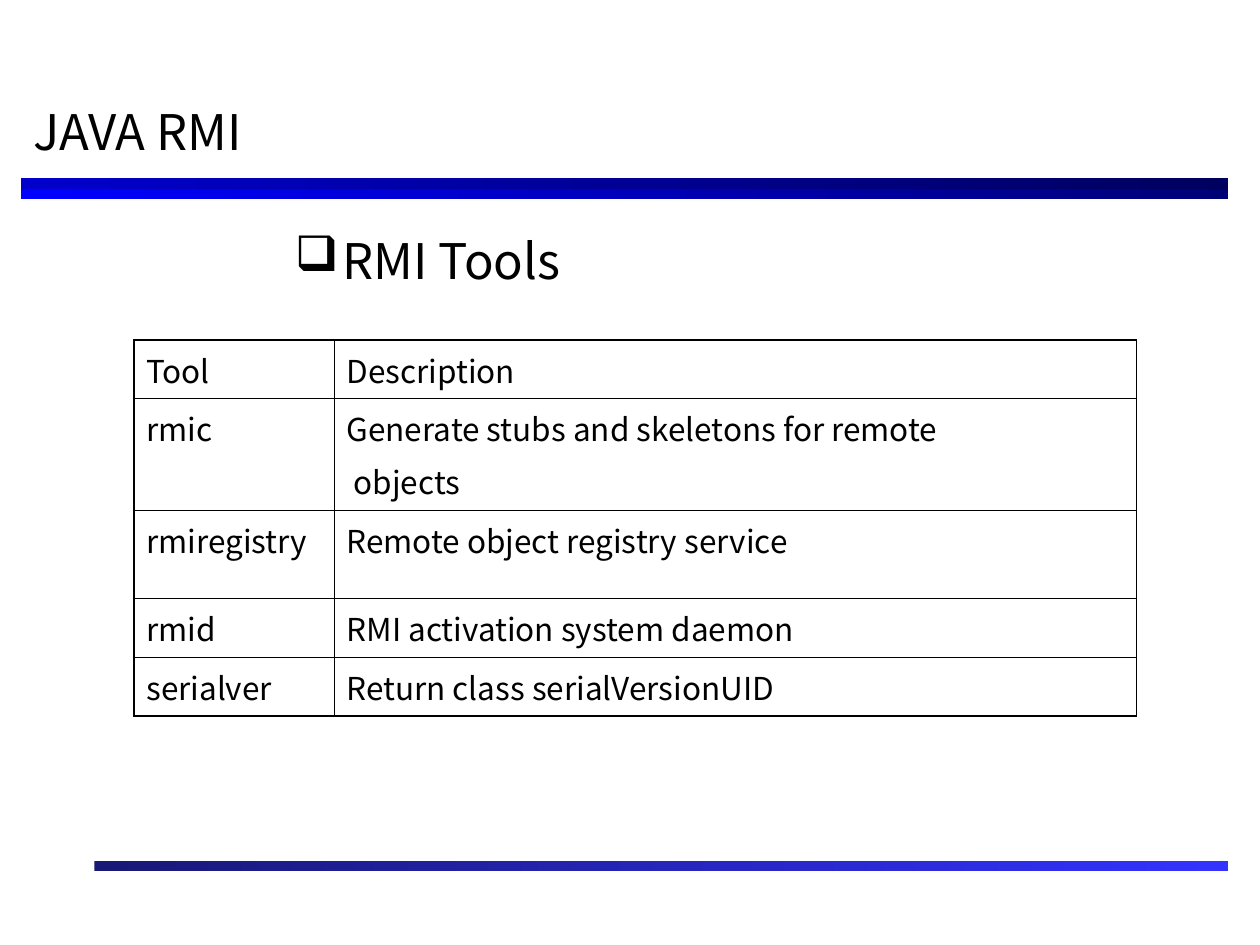
from dataclasses import dataclass

from lxml import etree
from pptx import Presentation
from pptx.dml.color import RGBColor
from pptx.enum.shapes import MSO_SHAPE
from pptx.enum.text import MSO_ANCHOR
from pptx.oxml.ns import qn
from pptx.util import Pt

RECTANGLE = MSO_SHAPE.RECTANGLE
TOP, MIDDLE = MSO_ANCHOR.TOP, MSO_ANCHOR.MIDDLE


@dataclass(frozen=True)
class Theme:
    font: str = "Noto Sans CJK KR"
    text: str = "000000"
    heading_size: float = 28
    table_size: float = 18
    outer_line: float = 1.08
    inner_line: float = 0.45
    title_bar: tuple = ("0000FF", "000076")
    title_bar_top: tuple = ("0000CC", "00005E")
    footer_bar: tuple = ("181876", "3333FF")


THEME = Theme()

COLUMN_WIDTHS = (114.5, 458.6)
ROW_HEIGHTS = (33.4, 64, 50.4, 33.4, 33.4)
TOOLS = (
    ("Tool", "Description"),
    ("rmic", "Generate stubs and skeletons for remote\n objects"),
    ("rmiregistry", "Remote object registry service"),
    ("rmid", "RMI activation system daemon"),
    ("serialver", "Return class serialVersionUID"),
)


def style_paragraph(para, size, space_before=0):
    para.font.name = THEME.font
    para.font.size = Pt(size)
    para.font.color.rgb = RGBColor.from_string(THEME.text)
    para.space_before = Pt(space_before)


def add_bar(page, left, top, width, height, colors):
    bar = page.shapes.add_shape(RECTANGLE, Pt(left), Pt(top), Pt(width), Pt(height))
    bar.shadow.inherit = False
    bar.line.fill.background()
    bar.fill.gradient()
    bar.fill.gradient_angle = 0
    for stop, color in zip(bar.fill.gradient_stops, colors):
        stop.color.rgb = RGBColor.from_string(color)


def add_heading(page, left, top, width, height, text, anchor, space_before=0):
    box = page.shapes.add_textbox(Pt(left), Pt(top), Pt(width), Pt(height))
    frame = box.text_frame
    frame.word_wrap = True
    frame.vertical_anchor = anchor
    para = frame.paragraphs[0]
    para.text = text
    style_paragraph(para, THEME.heading_size, space_before)
    return para


def add_bullet(para, symbol, indent):
    properties = para._p.get_or_add_pPr()
    properties.set("marL", str(Pt(indent)))
    properties.set("indent", str(-Pt(indent)))
    etree.SubElement(properties, qn("a:buChar"), char=symbol)


def add_border(cell, side, width):
    line = etree.SubElement(cell._tc.get_or_add_tcPr(), qn("a:" + side), w=str(Pt(width)))
    fill = etree.SubElement(line, qn("a:solidFill"))
    etree.SubElement(fill, qn("a:srgbClr"), val=THEME.text)


def add_tool_table(page, left, top):
    rows, columns = len(TOOLS), len(COLUMN_WIDTHS)
    table = page.shapes.add_table(
        rows, columns, Pt(left), Pt(top), Pt(sum(COLUMN_WIDTHS)), Pt(sum(ROW_HEIGHTS))
    ).table
    table.first_row = table.horz_banding = False
    for column, width in zip(table.columns, COLUMN_WIDTHS):
        column.width = Pt(width)
    for r, (height, texts) in enumerate(zip(ROW_HEIGHTS, TOOLS)):
        table.rows[r].height = Pt(height)
        for c, text in enumerate(texts):
            cell = table.cell(r, c)
            cell.text = text
            for para in cell.text_frame.paragraphs:
                style_paragraph(para, THEME.table_size, space_before=4.5)
            # The outer frame is heavier than the inner grid
            on_edge = {
                "lnL": c == 0,
                "lnR": c == columns - 1,
                "lnT": r == 0,
                "lnB": r == rows - 1,
            }
            for side, outer in on_edge.items():
                add_border(cell, side, THEME.outer_line if outer else THEME.inner_line)
            cell.fill.background()


def main():
    deck = Presentation()
    deck.slide_width, deck.slide_height = Pt(720), Pt(540)
    page = deck.slides.add_slide(deck.slide_layouts[6])

    # Gradient bars
    add_bar(page, 12, 102, 690, 12, THEME.title_bar)
    add_bar(page, 54, 492, 648, 6, THEME.footer_bar)
    add_bar(page, 12, 102, 690, 6, THEME.title_bar_top)

    # Title
    add_heading(page, 12, 48, 690, 54, "JAVA RMI", MIDDLE)

    # Tool table
    add_tool_table(page, 76.4, 194.4)

    # Bulleted subtitle
    subtitle = add_heading(page, 161.5, 128, 354, 66, "RMI Tools", TOP, space_before=6)
    add_bullet(subtitle, "❑", 27)

    deck.save("out.pptx")


if __name__ == "__main__":
    main()
